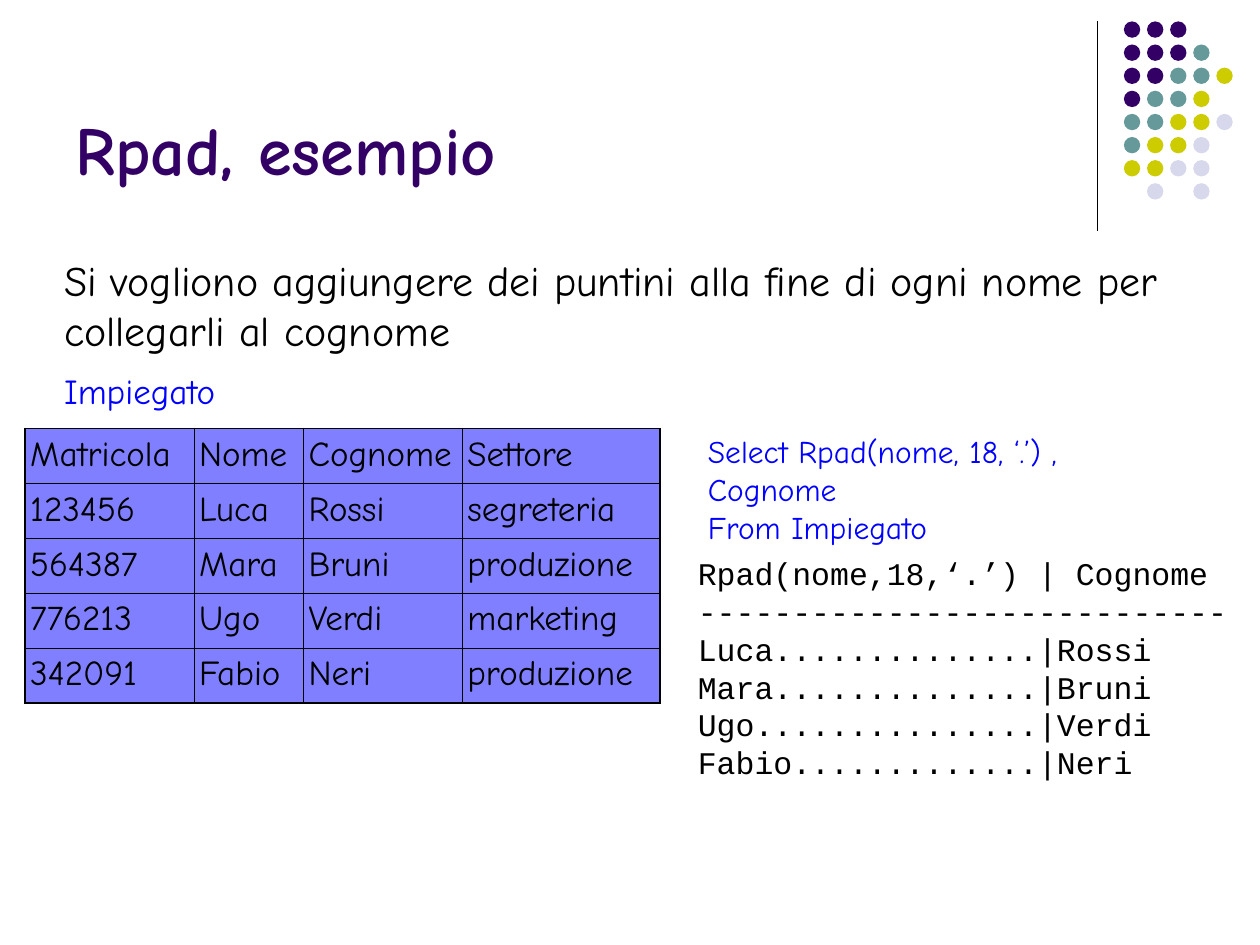
"""Build the Rpad example slide."""
from lxml.etree import SubElement
from pptx import Presentation
from pptx.dml.color import RGBColor
from pptx.enum.shapes import MSO_CONNECTOR, MSO_SHAPE
from pptx.enum.text import MSO_ANCHOR, MSO_AUTO_SIZE
from pptx.oxml.ns import qn
from pptx.util import Inches, Pt

W, H = 10, 7.5
SANS, MONO = "Comic Neue", "Courier New"
BLACK, BLUE, PURPLE = "000000", "0000FF", "330066"

DOTS = ["PPP", "PPPT", "PPTTY", "PTTY", "TTYYL", "TYYL", "YYLL", " L L"]
DOT_COLORS = {"P": PURPLE, "T": "669999", "Y": "CCCC00", "L": "D8D8EC"}
DOT_LEFT, DOT_TOP, DOT_SIZE, DOT_PITCH = 8.92, 0.17, 0.13, 0.1835

HEADER = ("Matricola", "Nome", "Cognome", "Settore")
EMPLOYEES = [
    ("123456", "Luca", "Rossi", "segreteria"),
    ("564387", "Mara", "Bruni", "produzione"),
    ("776213", "Ugo", "Verdi", "marketing"),
    ("342091", "Fabio", "Neri", "produzione"),
]
COL_WIDTHS = (1.34, 0.87, 1.26, 1.57)
ROW_HEIGHT = 0.436
TABLE_LEFT, TABLE_TOP = 0.02 * W, 3.4
OUTER, INNER = 1.08, 0.45

QUERY = ["Select Rpad(nome, 18, ‘.’) , Cognome", "From Impiegato"]
RESULT = ["Rpad(nome,18,‘.’) | Cognome", "-" * 28] + [
    f"{first.ljust(18, '.')}|{last}" for _, first, last, _ in EMPLOYEES
]
INTRO = "Si vogliono aggiungere dei puntini alla fine di ogni nome per collegarli al cognome"

TEXTS = [
    (["Rpad, esempio"], (0.5, 0.13, 8.25, 1.42), 39, SANS, PURPLE, True),
    ([INTRO], (0.41, 1.97, 9.08, 0.9), 24, SANS, BLACK, True),
    (["Impiegato"], (0.41, 2.88, 1.41, 0.44), 20, SANS, BLUE, False),
    (QUERY, (5.52, 3.38, 4.07, 0.7), 18, SANS, BLUE, False),
    (RESULT, (5.44, 4.35, 4.4, 1.9), 18, MONO, BLACK, False),
]


def rgb(color):
    return RGBColor.from_string(color)


def style(p, size, name, color):
    p.font.size = Pt(size)
    p.font.name = name
    p.font.color.rgb = rgb(color)


def add_text(s, lines, box, size, name, color, wrap):
    tf = s.shapes.add_textbox(*map(Inches, box)).text_frame
    tf.word_wrap = wrap
    tf.auto_size = MSO_AUTO_SIZE.SHAPE_TO_FIT_TEXT
    tf.text = "\n".join(lines)
    for p in tf.paragraphs:
        style(p, size, name, color)
    return tf


def add_rule(s):
    x = Inches(8.71)
    rule = s.shapes.add_connector(MSO_CONNECTOR.STRAIGHT, x, Inches(0.17), x, Inches(1.83))
    rule.line.color.rgb = rgb(BLACK)
    rule.line.width = Pt(0.75)
    SubElement(rule._element.spPr, qn("a:effectLst"))


def add_dots(s):
    for i, row in enumerate(DOTS):
        for j, key in enumerate(row):
            if key in DOT_COLORS:
                box = (DOT_LEFT + j * DOT_PITCH, DOT_TOP + i * DOT_PITCH, DOT_SIZE, DOT_SIZE)
                sp = s.shapes.add_shape(MSO_SHAPE.OVAL, *map(Inches, box))
                sp.shadow.inherit = False
                sp.fill.solid()
                sp.fill.fore_color.rgb = rgb(DOT_COLORS[key])
                sp.line.fill.background()


def set_border(cell, side, width):
    ln = SubElement(cell._tc.get_or_add_tcPr(), qn(f"a:ln{side}"), w=str(int(Pt(width))))
    SubElement(SubElement(ln, qn("a:solidFill")), qn("a:srgbClr"), val=BLACK)


def fill_half(cell, color):
    cell.fill.solid()
    cell.fill.fore_color.rgb = rgb(color)
    clr = cell._tc.tcPr.find(qn("a:solidFill")).find(qn("a:srgbClr"))
    SubElement(clr, qn("a:alpha"), val="50000")


def add_employee_table(s):
    rows = [HEADER] + EMPLOYEES
    n, m = len(rows), len(HEADER)
    box = (TABLE_LEFT, TABLE_TOP, sum(COL_WIDTHS), n * ROW_HEIGHT)
    table = s.shapes.add_table(n, m, *map(Inches, box)).table
    for col, width in zip(table.columns, COL_WIDTHS):
        col.width = Inches(width)
    for i, row in enumerate(rows):
        table.rows[i].height = Inches(ROW_HEIGHT)
        for j, text in enumerate(row):
            cell = table.cell(i, j)
            cell.margin_left = cell.margin_right = Inches(0.04)
            edges = {"L": j == 0, "R": j == m - 1, "T": i == 0, "B": i == n - 1}
            for side, outer in edges.items():
                set_border(cell, side, OUTER if outer else INNER)
            fill_half(cell, BLUE)
            cell.text = text
            p = cell.text_frame.paragraphs[0]
            style(p, 20, SANS, BLACK)
            p.font.bold = False


def main():
    prs = Presentation()
    prs.slide_width, prs.slide_height = Inches(W), Inches(H)
    s = prs.slides.add_slide(prs.slide_layouts[6])
    add_rule(s)
    add_dots(s)
    title, *_ = [add_text(s, *text) for text in TEXTS]
    title.auto_size = MSO_AUTO_SIZE.NONE
    title.vertical_anchor = MSO_ANCHOR.BOTTOM
    title.paragraphs[0].font.bold = True
    add_employee_table(s)
    prs.save("out.pptx")


if __name__ == "__main__":
    main()
